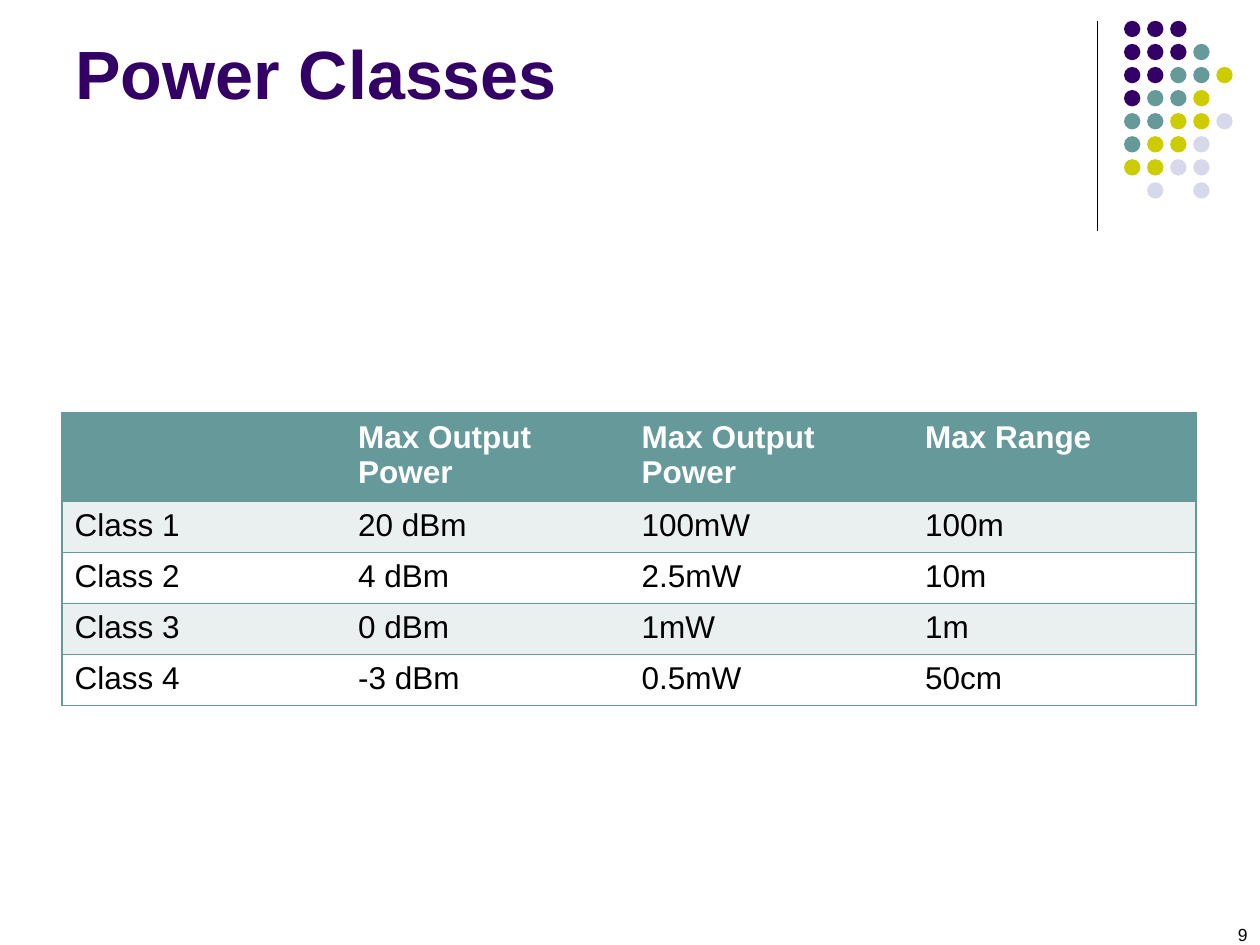
from lxml.etree import SubElement
from pptx import Presentation
from pptx.dml.color import RGBColor
from pptx.enum.shapes import MSO_CONNECTOR, MSO_SHAPE
from pptx.enum.text import MSO_ANCHOR, PP_ALIGN
from pptx.oxml.ns import qn
from pptx.util import Cm, Pt

HUES = {
    "plum": "330066", "teal": "669999", "lime": "CCCC00", "mist": "D8D8EC",
    "pale": "EAEFEF", "white": "FFFFFF", "black": "000000",
}
DOTS = ["PPP", "PPPT", "PPTTL", "PTTL", "TTLLM", "TLLM", "LLMM", " M M"]
KEYS = {"P": "plum", "T": "teal", "L": "lime", "M": "mist"}
ROWS = [
    ["", "Max Output Power", "Max Output Power", "Max Range"],
    ["Class 1", "20 dBm", "100mW", "100m"],
    ["Class 2", "4 dBm", "2.5mW", "10m"],
    ["Class 3", "0 dBm", "1mW", "1m"],
    ["Class 4", "-3 dBm", "0.5mW", "50cm"],
]
TITLE = {"name": "Arial", "size": Pt(39), "bold": True}
HEAD = {"name": "Arial", "size": Pt(18), "bold": True}
BODY = {"name": "Arial", "size": Pt(18), "bold": False}
PAGE = {"name": "Arial", "size": Pt(10)}


def color(hue):
    """Return the named colour."""
    return RGBColor.from_string(HUES[hue])


def apply(item, form):
    """Set each attribute in form on the item."""
    for key, value in form.items():
        setattr(item, key, value)


def write(frame, text, font, hue):
    """Put one styled line of text in the frame."""
    run = frame.paragraphs[0].add_run()
    run.text = text
    apply(run.font, font)
    run.font.color.rgb = color(hue)


def add_text(slide, box, text, font, hue, form, align):
    """Add a text box with the given frame settings."""
    frame = slide.shapes.add_textbox(*map(Cm, box)).text_frame
    apply(frame, {"word_wrap": True, **form})
    frame.paragraphs[0].alignment = align
    write(frame, text, font, hue)


def add_motif(slide, box):
    """Draw the upright rule and the dot grid beside it."""
    left, top, wide, high = box
    size, step = 0.33, 0.465
    rule = slide.shapes.add_connector(
        MSO_CONNECTOR.STRAIGHT, Cm(left), Cm(top), Cm(left), Cm(top + high))
    apply(rule.line, {"width": Pt(0.75)})
    rule.line.color.rgb = color("black")
    SubElement(rule.line._get_or_add_ln().getparent(), qn("a:effectLst"))
    start = left + wide - 4 * step - size
    group = slide.shapes.add_group_shape()
    for row, marks in enumerate(DOTS):
        for col, mark in enumerate(marks):
            if mark in KEYS:
                dot = group.shapes.add_shape(
                    MSO_SHAPE.OVAL, Cm(start + col * step),
                    Cm(top + row * step), Cm(size), Cm(size))
                dot.shadow.inherit = False
                dot.fill.solid()
                dot.fill.fore_color.rgb = color(KEYS[mark])
                dot.line.fill.background()


def add_edges(cell, first, last):
    """Rule a cell above and below, and at the table's outer sides."""
    props = cell._tc.get_or_add_tcPr()
    for tag, shown in {"lnL": first, "lnR": last, "lnT": True, "lnB": True}.items():
        edge = SubElement(props, qn(f"a:{tag}"), w=str(Pt(1)))
        fill = SubElement(edge, qn("a:solidFill" if shown else "a:noFill"))
        if shown:
            SubElement(fill, qn("a:srgbClr"), val=HUES["teal"])


def add_grid(slide, box):
    """Build the table of power classes."""
    left, top, wide, high = box
    count, span = len(ROWS), len(ROWS[0])
    grid = slide.shapes.add_table(count, span, *map(Cm, box)).table
    tall = 1.69
    for col in grid.columns:
        col.width = Cm(wide / span)
    for row, words in enumerate(ROWS):
        grid.rows[row].height = Cm(tall if row == 0 else (high - tall) / (count - 1))
        band = "teal" if row == 0 else "pale" if row % 2 else "white"
        for col, word in enumerate(words):
            cell = grid.cell(row, col)
            add_edges(cell, col == 0, col == span - 1)
            cell.fill.solid()
            cell.fill.fore_color.rgb = color(band)
            write(cell.text_frame, word, BODY if row else HEAD,
                  "black" if row else "white")


def main():
    """Build and save the slide."""
    deck = Presentation()
    apply(deck, {"slide_width": Cm(25.4), "slide_height": Cm(19.05)})
    slide = deck.slides.add_slide(deck.slide_layouts[6])
    add_motif(slide, (22.12, 0.42, 2.73, 4.23))
    add_text(slide, (1.27, 0.33, 20.96, 3.6), "Power Classes", TITLE, "plum",
             {"vertical_anchor": MSO_ANCHOR.TOP, "margin_top": Cm(0.3)},
             PP_ALIGN.LEFT)
    add_grid(slide, (1.25, 8.33, 22.86, 5.8))
    add_text(slide, (19.48, 18.52, 5.92, 0.53), "9", PAGE, "black",
             {"vertical_anchor": MSO_ANCHOR.BOTTOM, "margin_top": 0,
              "margin_bottom": 0}, PP_ALIGN.RIGHT)
    deck.save("out.pptx")


if __name__ == "__main__":
    main()
